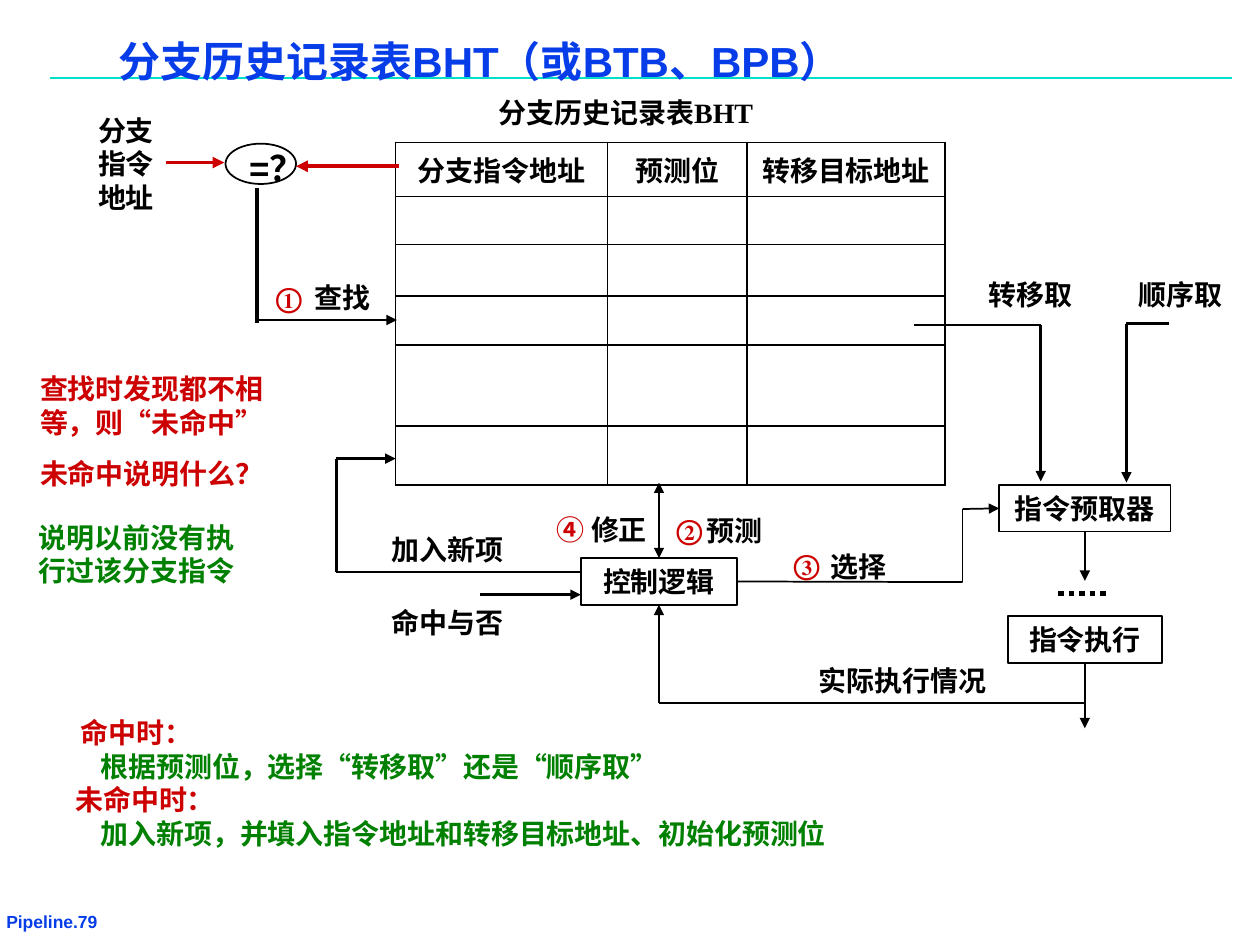
from dataclasses import dataclass

from lxml import etree
from pptx import Presentation
from pptx.dml.color import RGBColor
from pptx.enum import dml, shapes, text
from pptx.oxml import ns
from pptx.util import Inches, Pt

BLACK = RGBColor(0x00, 0x00, 0x00)
RED = RGBColor(0xCC, 0x00, 0x00)
GREEN = RGBColor(0x00, 0x80, 0x00)
BLUE = RGBColor(0x06, 0x3D, 0xE8)
TEAL = RGBColor(0x00, 0xDF, 0xCA)
SERIF, SANS = "Times New Roman", "Arial"


@dataclass
class Box:
    """A rectangle on the page, in inches."""
    left: float
    top: float
    width: float
    height: float = 0.37

    def inside(self, x, y, width, height=0.37):
        """Return a box offset from this one."""
        return Box(self.left + x, self.top + y, width, height)

    def lengths(self):
        """Return the four sides as lengths."""
        return [Inches(side) for side in (self.left, self.top, self.width, self.height)]


def add_span(para, words, color=BLACK, size=16, font=SERIF):
    """Add one bold run."""
    span = para.add_run()
    span.text = words
    span.font.name, span.font.size, span.font.bold = font, Pt(size), True
    span.font.color.rgb = color


def add_label(page, box, *spans, wrap=True, size=16, font=SERIF, insets=(0.1, 0.05)):
    """Add a text box holding one paragraph of (words, color) spans."""
    frame = page.shapes.add_textbox(*box.lengths()).text_frame
    frame.word_wrap = wrap
    frame.margin_left = frame.margin_right = Inches(insets[0])
    frame.margin_top = frame.margin_bottom = Inches(insets[1])
    for words, color in spans:
        add_span(frame.paragraphs[0], words, color, size, font)
    return frame


def add_outline(page, box, kind=shapes.MSO_SHAPE.RECTANGLE, words=""):
    """Add an unfilled shape with an optional centred caption."""
    shape = page.shapes.add_shape(kind, *box.lengths())
    shape.shadow.inherit = False
    shape.fill.background()
    shape.line.color.rgb, shape.line.width = BLACK, Pt(1)
    if words:
        para = shape.text_frame.paragraphs[0]
        para.alignment = text.PP_ALIGN.CENTER
        add_span(para, words)
    return shape


def add_route(page, box, points, color=BLACK, weight=1.5, arrows="", start=None, end=None):
    """Draw straight connectors through points, with arrowheads named in arrows."""
    places = [(Inches(box.left + x), Inches(box.top + y)) for x, y in points]
    lines = []
    for begin, finish in zip(places, places[1:]):
        line = page.shapes.add_connector(shapes.MSO_CONNECTOR.STRAIGHT, *begin, *finish)
        line.line.color.rgb, line.line.width = color, Pt(weight)
        etree.SubElement(line.element.spPr, ns.qn("a:effectLst"))
        lines.append(line)
    if start:
        lines[0].begin_connect(*start)
    if end:
        lines[-1].end_connect(*end)
    for name, line in (("headEnd", lines[0]), ("tailEnd", lines[-1])):
        if name in arrows:
            outline = line.line._get_or_add_ln()
            etree.SubElement(outline, ns.qn("a:" + name), type="triangle")
    return lines


def draw_heading(page, box):
    """Place the title and the rule under it."""
    add_route(page, box, [(0, 0.37), (9.38, 0.37)], TEAL, 1)
    add_label(page, box.inside(0.47, 0, 7.51, 0.4), ("分支历史记录表BHT（或BTB、BPB）", BLUE),
              size=24, font=SANS, insets=(0.07, 0.03))


def draw_footer(page, box):
    """Place the page mark."""
    add_label(page, box, ("Pipeline.79", BLUE), wrap=False, size=10, font=SANS, insets=(0.07, 0.03))


def draw_border(cell):
    """Give a cell thin black borders."""
    properties = cell._tc.get_or_add_tcPr()
    for position, side in enumerate(("lnL", "lnR", "lnT", "lnB")):
        border = etree.Element(ns.qn("a:" + side), w=str(Pt(1)))
        fill = etree.SubElement(border, ns.qn("a:solidFill"))
        etree.SubElement(fill, ns.qn("a:srgbClr"), val=str(BLACK))
        properties.insert(position, border)


def draw_history_table(page, box):
    """Place the branch history table and its caption."""
    add_label(page, box.inside(0.72, -0.42, 2.54), ("分支历史记录表BHT", BLACK))
    heights = (0.43, 0.38, 0.41, 0.39, 0.64, 0.47)
    widths = (1.68, 1.11, 1.57)
    headers = ("分支指令地址", "预测位", "转移目标地址")
    table = page.shapes.add_table(len(heights), len(widths), *box.lengths()).table
    table.first_row = table.horz_banding = False
    for row, height in zip(table.rows, heights):
        row.height = Inches(height)
    for column, width in zip(table.columns, widths):
        column.width = Inches(width)
    for cell in table.iter_cells():
        cell.fill.background()
        cell.margin_top = cell.margin_bottom = Inches(0)
        cell.vertical_anchor = text.MSO_ANCHOR.MIDDLE
        cell.text_frame.paragraphs[0].font.size = Pt(16)
        draw_border(cell)
    for column, words in enumerate(headers):
        para = table.cell(0, column).text_frame.paragraphs[0]
        para.alignment = text.PP_ALIGN.CENTER
        add_span(para, words)


def draw_lookup(page, box):
    """Place the address comparison and the lookup arrow."""
    add_label(page, box.inside(0.08, 0.05, 0.71, 0.9), ("分支指令地址", BLACK))
    add_label(page, box.inside(1.28, 0.31, 0.67, 0.77), ("=？", BLACK), size=20, font=SANS)
    add_outline(page, box.inside(1.19, 0.34, 0.56, 0.32), shapes.MSO_SHAPE.OVAL)
    add_route(page, box, [(2.57, 0.52), (1.75, 0.52)], RED, 2.25, "tailEnd")
    add_route(page, box, [(0.72, 0.49), (1.18, 0.49)], RED, 2.25, "tailEnd")
    add_route(page, box, [(1.44, 0.69), (1.44, 1.76)], weight=2.25)
    add_route(page, box, [(1.44, 1.74), (2.55, 1.74)], arrows="tailEnd")
    add_label(page, box.inside(1.8, 1.38, 0.64), ("查找", BLACK), wrap=False)
    add_label(page, box.inside(1.49, 1.38, 0.48), ("①", RED))


def draw_control(page, box):
    """Place the control logic with its table links and return its box."""
    control = add_outline(page, box.inside(2.01, 0.83, 1.24), words="控制逻辑")
    add_route(page, box, [(2.63, 0.23), (2.63, 0.83)], arrows="headEnd tailEnd", end=(control, 0))
    add_route(page, box, [(2.01, 0.94), (0.07, 0.94), (0.07, 0.04), (0.54, 0.04)], arrows="tailEnd")
    add_route(page, box, [(1.21, 1.12), (2.01, 1.12)], arrows="tailEnd")
    add_label(page, box.inside(0.41, 0.58, 1.42), ("加入新项", BLACK))
    add_label(page, box.inside(0.41, 1.16, 1.13), ("命中与否", BLACK))
    add_label(page, box.inside(1.72, 0.42, 1.08), ("④ ", RED), ("修正", BLACK))
    add_label(page, box.inside(2.67, 0.42, 0.4), ("②", RED), wrap=False)
    add_label(page, box.inside(2.91, 0.43, 1.13), ("预测", BLACK))
    return control


def draw_fetch(page, box):
    """Place the fetch and execute chain and return its two boxes."""
    add_label(page, box.inside(0.55, 0.05, 0.94), ("转移取", BLACK))
    add_label(page, box.inside(1.74, 0.05, 0.94), ("顺序取", BLACK))
    add_route(page, box, [(0.05, 0.48), (1.06, 0.48), (1.06, 1.72)], arrows="tailEnd")
    add_route(page, box, [(2.08, 0.47), (1.74, 0.47), (1.74, 1.73)], arrows="tailEnd")
    prefetch = add_outline(page, box.inside(0.73, 1.75, 1.36), words="指令预取器")
    execute = add_outline(page, box.inside(0.8, 2.79, 1.22), words="指令执行")
    add_route(page, box, [(1.41, 2.12), (1.41, 2.51)], arrows="tailEnd", start=(prefetch, 2))
    dots = add_route(page, box, [(1.2, 2.61), (1.61, 2.61)], weight=3)[0]
    dots.line.dash_style = dml.MSO_LINE.ROUND_DOT
    add_route(page, box, [(1.41, 3.16), (1.41, 3.68)], arrows="tailEnd", start=(execute, 2))
    return prefetch


def draw_feedback(page, box, control, prefetch):
    """Join the control logic to the prefetcher and the execution result."""
    add_route(page, box, [(0.65, 0.62), (2.44, 0.62), (2.44, 0.04), (2.73, 0.04)], weight=1,
              arrows="tailEnd", start=(control, 3), end=(prefetch, 1))
    add_route(page, box, [(3.41, 1.58), (0.03, 1.58), (0.03, 0.8)], arrows="tailEnd", end=(control, 2))
    add_label(page, box.inside(1, 0.3, 0.4), ("③", RED), wrap=False)
    add_label(page, box.inside(1.29, 0.31, 1.12), ("选择", BLACK))
    add_label(page, box.inside(1.2, 1.22, 1.88), ("实际执行情况", BLACK))


def draw_miss_notes(page, box):
    """Place the remarks on a miss."""
    frame = add_label(page, box.inside(0.01, 0, 2.14, 1.04), ("查找时发现都不相等，则“未命中”", RED))
    para = frame.add_paragraph()
    para.space_before = Pt(10)
    add_span(para, "未命中说明什么？", RED)
    add_label(page, box.inside(0, 1.18, 1.96, 0.64), ("说明以前没有执行过该分支指令", GREEN))


def draw_summary(page, box):
    """Place the summary of the hit and miss cases."""
    frame = add_label(page, box)
    lines = (("命中时：", RED, 0.54), ("根据预测位，选择“转移取”还是“顺序取”", GREEN, 0.7),
             ("未命中时：", RED, 0.5), ("加入新项，并填入指令地址和转移目标地址、初始化预测位", GREEN, 0.7))
    for number, (words, color, indent) in enumerate(lines):
        para = frame.add_paragraph() if number else frame.paragraphs[0]
        para._p.get_or_add_pPr().set("marL", str(Inches(indent)))
        add_span(para, words, color)


def main():
    """Build the slide and save it."""
    deck = Presentation()
    deck.slide_width, deck.slide_height = Inches(10), Inches(7.5)
    page = deck.slides.add_slide(deck.slide_layouts[6])
    draw_footer(page, Box(-0.02, 7.2, 1.38, 0.22))
    draw_heading(page, Box(0.4, 0.25, 9.38, 0.4))
    draw_history_table(page, Box(3.14, 1.13, 4.36, 2.72))
    draw_lookup(page, Box(0.6, 0.8, 2.57, 1.8))
    control = draw_control(page, Box(2.6, 3.6, 4.04, 1.53))
    prefetch = draw_fetch(page, Box(7.2, 2.1, 2.68, 3.68))
    draw_feedback(page, Box(5.2, 4, 3.41, 1.6), control, prefetch)
    draw_miss_notes(page, Box(0.21, 2.9, 2.15, 1.82))
    draw_summary(page, Box(0, 5.63, 7.39, 1.17))
    deck.save("out.pptx")


if __name__ == "__main__":
    main()
